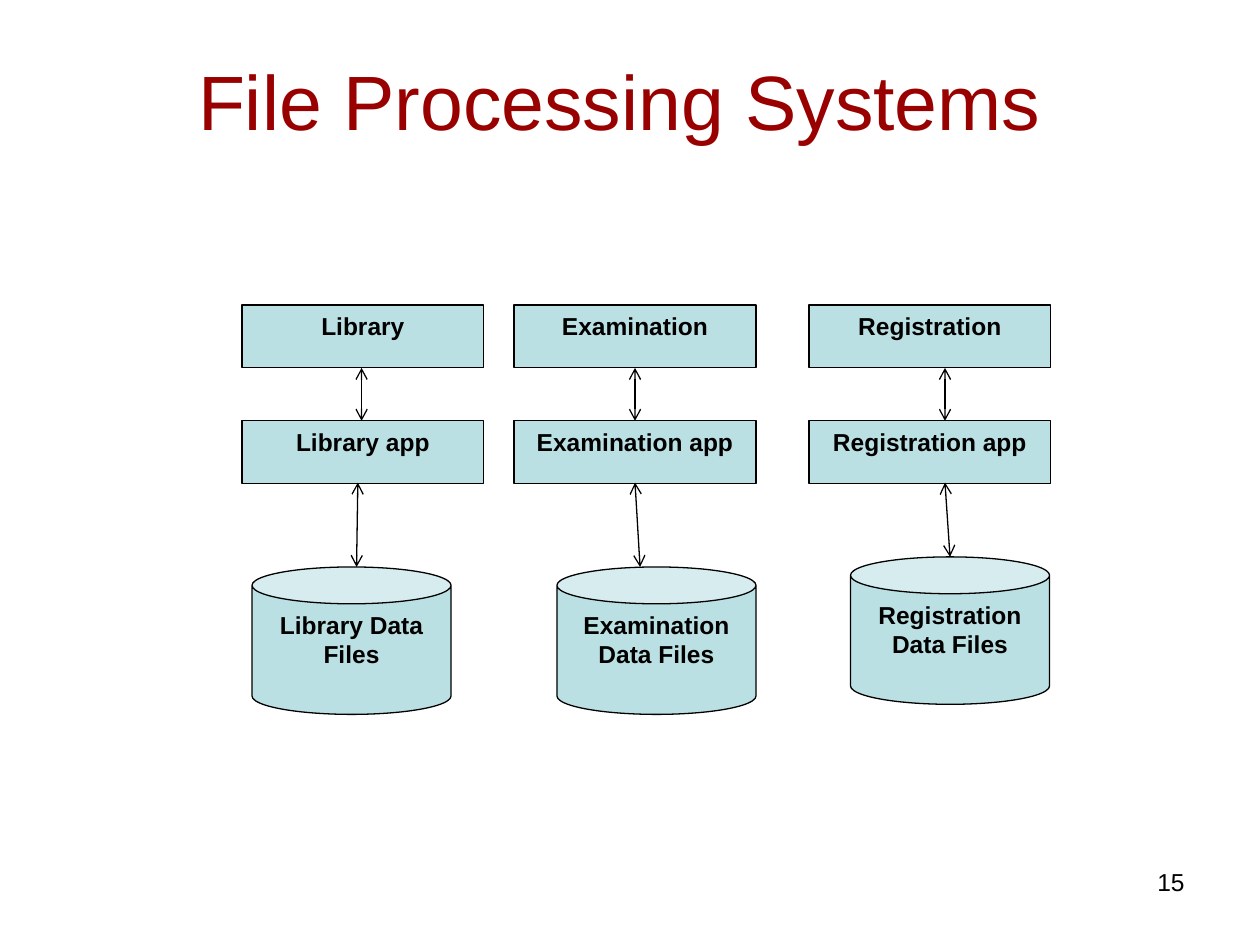
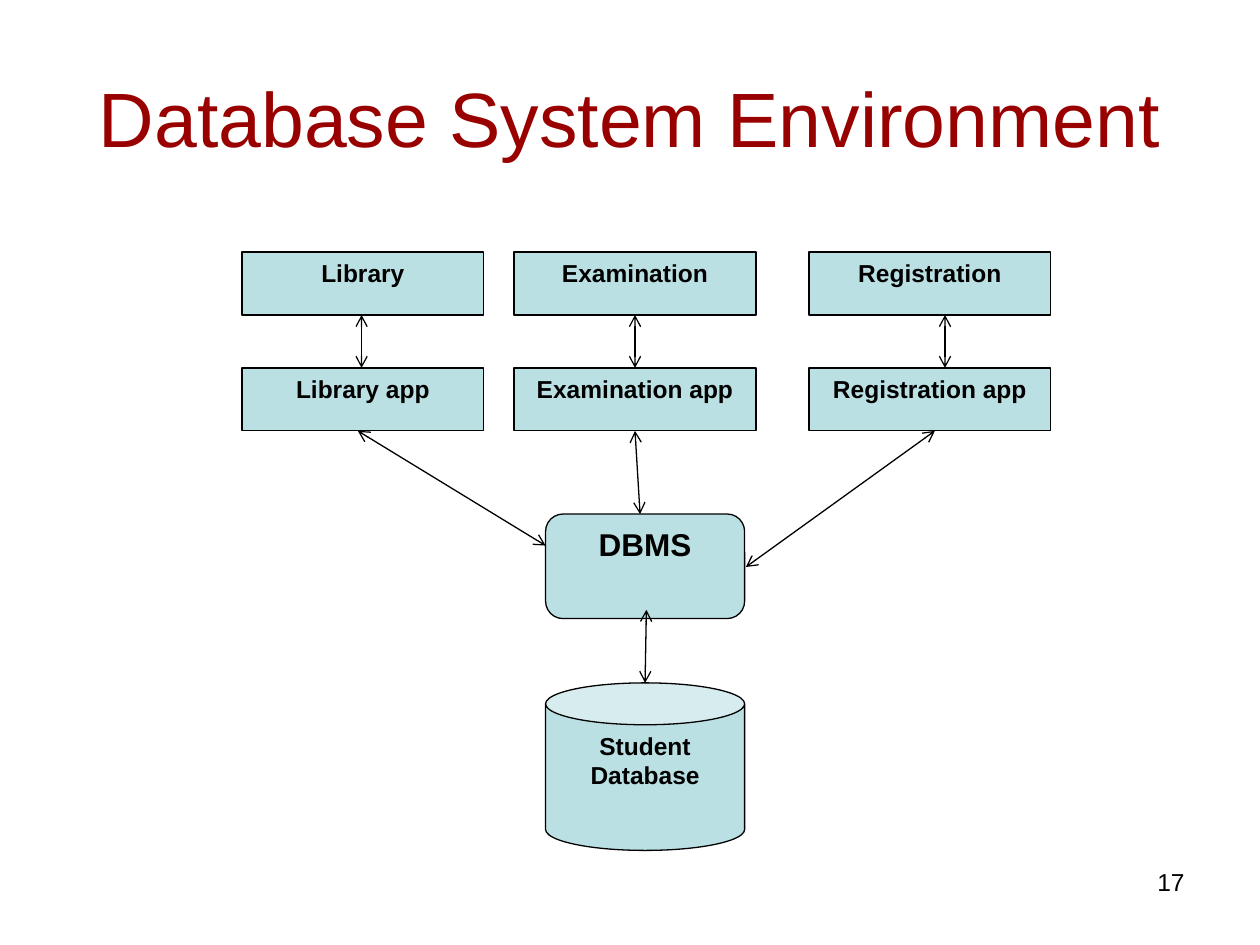
from lxml import etree
from pptx import Presentation
from pptx import util as u
from pptx.dml.color import RGBColor
from pptx.enum import shapes, text
from pptx.oxml.ns import qn

FILL, INK, TITLE = "BBE0E3", "000000", "990000"
FONT, LINE_W = "Arial", u.Pt(0.74)
rgb = RGBColor.from_string
KIND = shapes.MSO_SHAPE

BOX_W, BOX_H, STORE_W = 1.92, 0.5, 1.58
APP_DROP = 0.92  # from the top of a department to the top of its application
# department, left edge of its boxes, x of the arrow between them
COLUMNS = [("Library", 1.92, 2.87), ("Examination", 4.08, 5.04), ("Registration", 6.42, 7.5)]


def add_box(s, kind, label, x, y, w, h, size=14):
    """Add a filled, outlined shape with a bold label at its top."""
    sp = s.shapes.add_shape(kind, u.Inches(x), u.Inches(y), u.Inches(w), u.Inches(h))
    sp.shadow.inherit = False
    sp.fill.solid()
    sp.fill.fore_color.rgb = rgb(FILL)
    sp.line.color.rgb = rgb(INK)
    sp.line.width = LINE_W
    tf = sp.text_frame
    tf.word_wrap = True
    tf.vertical_anchor = text.MSO_ANCHOR.TOP
    p = tf.paragraphs[0]
    p.text = label
    p.alignment = text.PP_ALIGN.CENTER
    p.font.name, p.font.size, p.font.bold = FONT, u.Pt(size), True
    p.font.color.rgb = rgb(INK)


def add_arrow(s, x1, y1, x2, y2):
    """Add a thin straight line with an open arrowhead at both ends."""
    c = s.shapes.add_connector(shapes.MSO_CONNECTOR.STRAIGHT, u.Inches(x1), u.Inches(y1),
                               u.Inches(x2), u.Inches(y2))
    c.line.color.rgb = rgb(INK)
    c.line.width = LINE_W
    ln = c.line._get_or_add_ln()
    for end in ("a:headEnd", "a:tailEnd"):
        etree.SubElement(ln, qn(end), type="arrow")
    etree.SubElement(c._element.spPr, qn("a:effectLst"))


prs = Presentation()
prs.slide_width, prs.slide_height = u.Inches(10), u.Inches(7.5)

# Shared parts: title, page number, departments and their applications
slides = []
for title, left, top, number, row_y in [
    ("File Processing Systems", 0.42, 0.17, "15", 2.42),
    ("Database System Environment", 0.5, 0.3, "17", 2.0),
]:
    s = prs.slides.add_slide(prs.slide_layouts[5])
    slides.append(s)
    sp = s.shapes.title
    sp.left, sp.top, sp.width, sp.height = (u.Inches(v) for v in (left, top, 9, 1.25))
    tf = sp.text_frame
    tf.vertical_anchor = text.MSO_ANCHOR.MIDDLE
    p = tf.paragraphs[0]
    p.text = title
    p.alignment = text.PP_ALIGN.CENTER
    p.font.name, p.font.size = FONT, u.Pt(44)
    p.font.color.rgb = rgb(TITLE)

    tf = s.shapes.add_textbox(u.Inches(7.17), u.Inches(6.83), u.Inches(2.33), u.Inches(0.52)).text_frame
    tf.word_wrap = True
    p = tf.paragraphs[0]
    p.text = number
    p.alignment = text.PP_ALIGN.RIGHT
    p.font.name, p.font.size = FONT, u.Pt(14)
    p.font.color.rgb = rgb(INK)

    for name, x, arrow_x in COLUMNS:
        add_box(s, KIND.RECTANGLE, name, x, row_y, BOX_W, BOX_H)
        add_box(s, KIND.RECTANGLE, f"{name} app", x, row_y + APP_DROP, BOX_W, BOX_H)
        add_arrow(s, arrow_x, row_y + BOX_H, arrow_x, row_y + APP_DROP)

files_slide, database_slide = slides

# File processing: every application keeps its own data files
for (name, _, _), x, y, from_x, to_x in zip(
    COLUMNS, (2, 4.42, 6.75), (4.5, 4.5, 4.42), (2.84, 5.04, 7.5), (2.83, 5.08, 7.54)
):
    add_box(files_slide, KIND.CAN, f"{name} Data Files", x, y, STORE_W, 1.17)
    add_arrow(files_slide, from_x, 3.83, to_x, y)

# Database system: all applications share one DBMS and one database
add_box(database_slide, KIND.CAN, "Student Database", 4.33, 5.42, STORE_W, 1.33)
add_box(database_slide, KIND.ROUNDED_RECTANGLE, "DBMS", 4.33, 4.08, STORE_W, 0.83, size=18)
for from_x, to_x, to_y in [(2.84, 4.33, 4.33), (5.04, 5.08, 4.08), (7.42, 5.92, 4.5)]:
    add_arrow(database_slide, from_x, 3.42, to_x, to_y)
add_arrow(database_slide, 5.13, 4.84, 5.12, 5.42)

prs.save("out.pptx")
